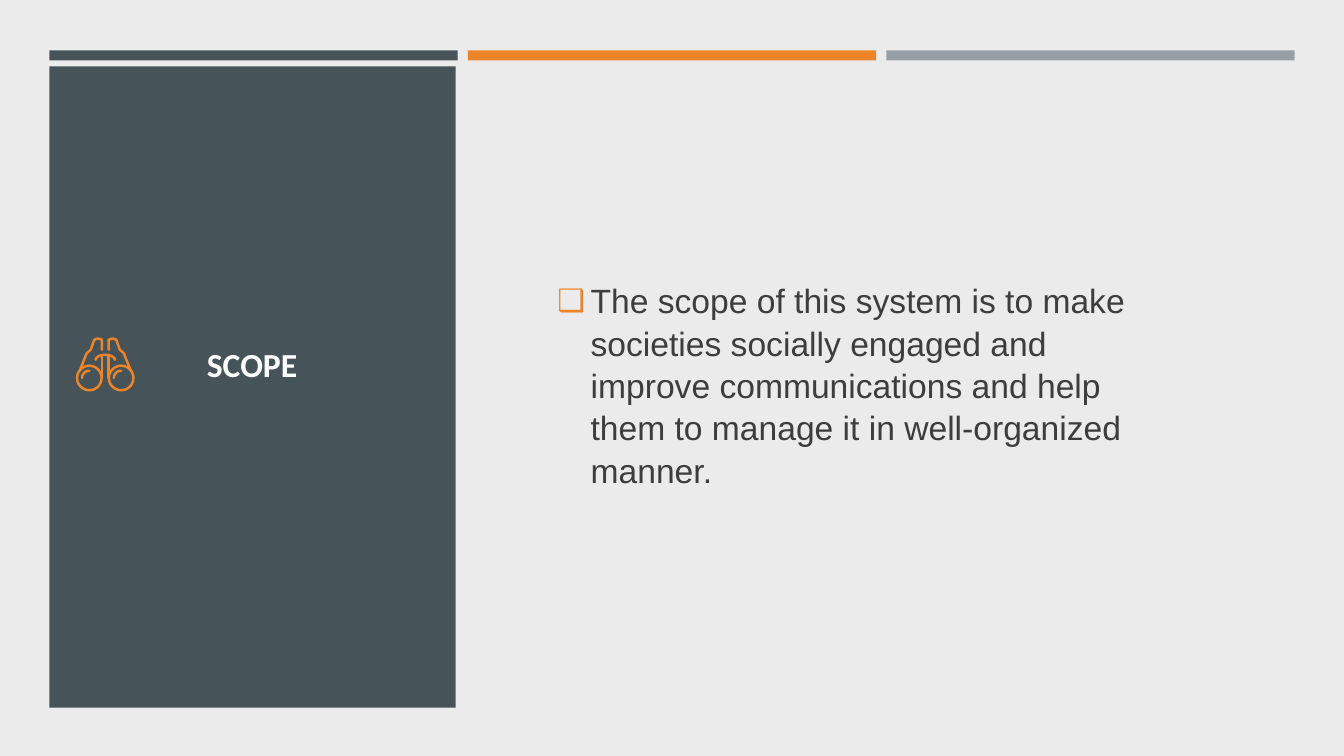
from math import cos, pi, sin

from lxml.etree import SubElement
from pptx import Presentation
from pptx.dml.color import RGBColor
from pptx.enum.shapes import MSO_SHAPE
from pptx.enum.text import MSO_ANCHOR, PP_ALIGN
from pptx.oxml.ns import qn
from pptx.util import Inches, Pt

SLATE = RGBColor(0x46, 0x53, 0x59)
ORANGE = RGBColor(0xED, 0x84, 0x28)
GREY = RGBColor(0x96, 0x9F, 0xA7)
PAPER = RGBColor(0xEB, 0xEB, 0xEB)
INK = RGBColor(0x3D, 0x3D, 0x3D)
WHITE = RGBColor(0xFF, 0xFF, 0xFF)

LEFT, COLUMN, PITCH = 0.49, 4.05, 4.15
BAR_TOP, BAR_HEIGHT = 0.5, 0.1
ICON_UNIT = Inches(0.01)


def arc(cx, cy, rx, ry, start, end, steps=24):
    angles = [start + (end - start) * i / steps for i in range(steps + 1)]
    return [(cx + rx * cos(a), cy - ry * sin(a)) for a in angles]


def outline(sp):
    sp.shadow.inherit = False
    sp.fill.background()
    sp.line.color.rgb = ORANGE
    sp.line.width = Pt(1.75)
    sp.element.spPr.find(qn("a:ln")).set("cap", "rnd")


prs = Presentation()
prs.slide_width, prs.slide_height = Inches(13.33), Inches(7.5)
s = prs.slides.add_slide(prs.slide_layouts[5])
s.background.fill.solid()
s.background.fill.fore_color.rgb = PAPER

blocks = [(LEFT + i * PITCH, BAR_TOP, COLUMN, BAR_HEIGHT, color)
          for i, color in enumerate((SLATE, ORANGE, GREY))]
blocks.append((LEFT, 0.66, 4.03, 6.36, SLATE))
for x, y, w, h, color in blocks:
    sp = s.shapes.add_shape(MSO_SHAPE.RECTANGLE, Inches(x), Inches(y), Inches(w), Inches(h))
    sp.shadow.inherit = False
    sp.fill.solid()
    sp.fill.fore_color.rgb = color
    sp.line.fill.background()

title = s.shapes.title
title.element.getparent().append(title.element)
body = s.shapes.add_textbox(0, 0, 0, 0)
texts = [
    (title, (0.84, 2.67, 3.32, 1.88), "SCOPE", PP_ALIGN.CENTER, 0.05,
     {"name": "Calibri", "size": Pt(24), "bold": True}, WHITE),
    (body, (5.43, 2.05, 6.21, 4.37),
     "The scope of this system is to make societies socially engaged and improve "
     "communications and help them to manage it in well-organized manner.",
     PP_ALIGN.LEFT, 0.9, {"name": "Arial", "size": Pt(24)}, INK),
]
for sp, box, text, align, bottom, font, color in texts:
    sp.left, sp.top, sp.width, sp.height = map(Inches, box)
    tf = sp.text_frame
    tf.word_wrap = True
    tf.vertical_anchor = MSO_ANCHOR.MIDDLE
    tf.margin_bottom = Inches(bottom)
    p = tf.paragraphs[0]
    p.alignment = align
    r = p.add_run()
    r.text = text
    for key, value in font.items():
        setattr(r.font, key, value)
    r.font.color.rgb = color

p = body.text_frame.paragraphs[0]
p.line_spacing = 1.05
pPr = p._p.get_or_add_pPr()
pPr.set("marL", str(Inches(0.33)))
pPr.set("indent", str(-Inches(0.33)))
SubElement(SubElement(pPr, qn("a:buClr")), qn("a:srgbClr")).set("val", str(ORANGE))
SubElement(pPr, qn("a:buSzPct")).set("val", "92000")
SubElement(pPr, qn("a:buFont")).set("typeface", "Arial")
SubElement(pPr, qn("a:buChar")).set("char", "❑")

AXIS, LENS_Y, LENS_R = 104.4, 375, 12.2
tube = [(79, 368), (86, 350.5), (90, 347), (93.5, 337), (97, 335.8), (101, 337), (101, 347)]
hinge = [(101, 352), (101, 375)]
strokes = [arc(AXIS, 357, 9.5, 5, pi, 0)]
for side in (tube, hinge):
    strokes += [side, [(2 * AXIS - x, y) for x, y in side]]

for lens_x in (88.6, 120.2):
    strokes.append(arc(lens_x, LENS_Y, 7.2, 7.2, pi, pi / 2))
    x, y, d = (int(v * ICON_UNIT) for v in (lens_x - LENS_R, LENS_Y - LENS_R, 2 * LENS_R))
    outline(s.shapes.add_shape(MSO_SHAPE.OVAL, x, y, d, d))

for points in strokes:
    points = [(round(x * 10), round(y * 10)) for x, y in points]
    path = s.shapes.build_freeform(*points[0], scale=ICON_UNIT / 10)
    path.add_line_segments(points[1:], close=False)
    outline(path.convert_to_shape())

prs.save("out.pptx")
